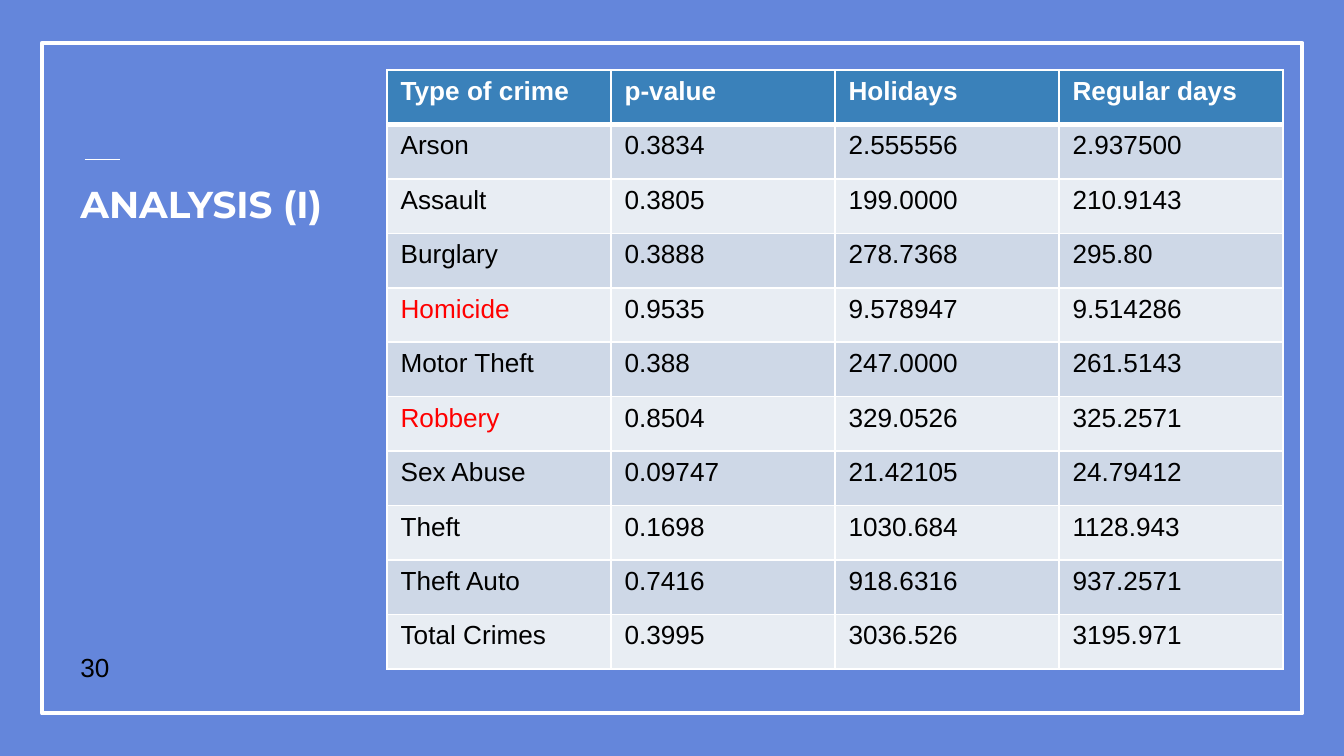
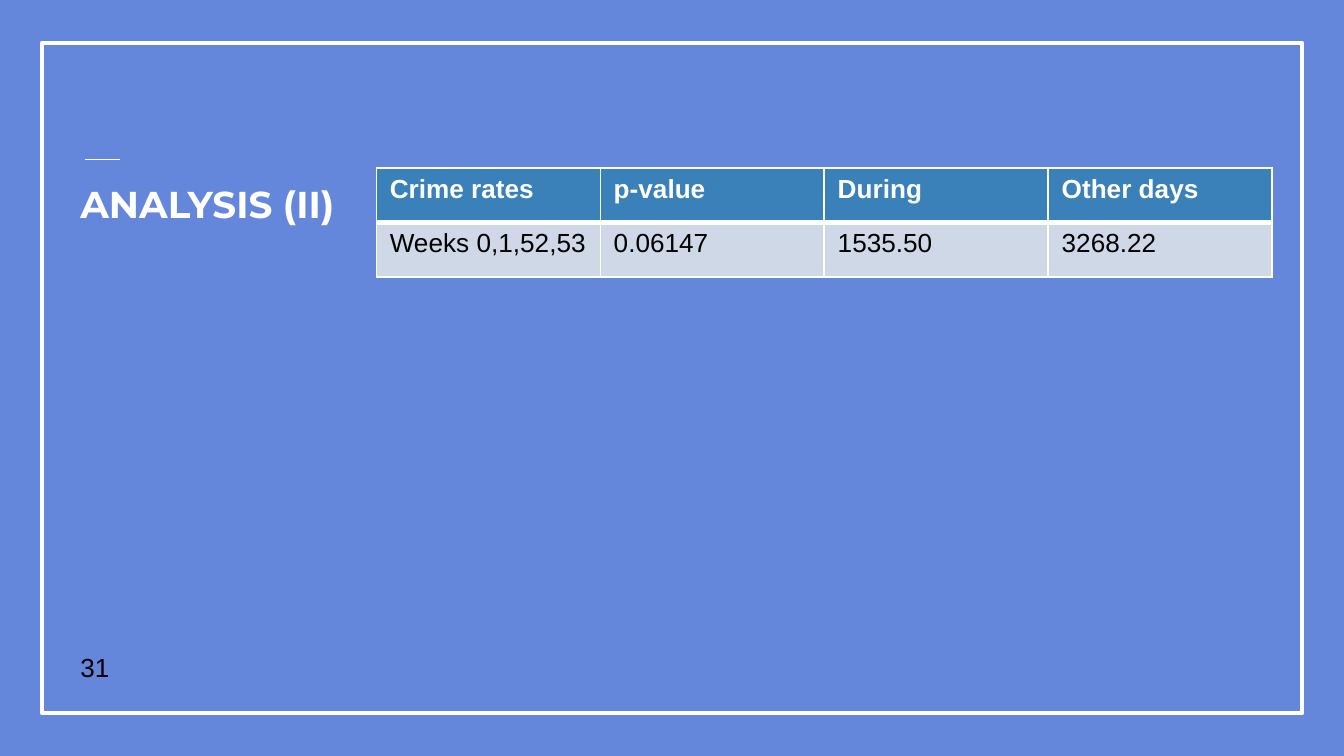
from dataclasses import dataclass

from lxml import etree
from pptx import Presentation
from pptx import util as u
from pptx.dml.color import RGBColor
from pptx.enum import shapes, text
from pptx.oxml import ns

Pt = u.Pt


@dataclass(frozen=True)
class Theme:
    background: str = "6486DB"
    white: str = "FFFFFF"
    black: str = "000000"
    highlight: str = "FF0000"
    header: str = "3A81BA"
    odd_row: str = "CED8E7"
    even_row: str = "E8EDF3"
    title_font: str = "Montserrat"
    body_font: str = "Arial"
    title_size: float = 20
    body_size: float = 14
    grid_line: float = 1
    header_line: float = 3


@dataclass(frozen=True)
class Box:
    left: float
    top: float
    width: float
    height: float

    def lengths(self) -> tuple:
        return Pt(self.left), Pt(self.top), Pt(self.width), Pt(self.height)


@dataclass(frozen=True)
class AnalysisSlide:
    title: str
    title_width: float
    number: int
    table_left: float
    table_top: float
    rows: list[tuple[str, ...]]
    highlighted: tuple[str, ...] = ()


THEME = Theme()
FRAME = Box(22.5, 23, 675.2, 359.2)
NUMBER_BOX = Box(36, 329.8, 43.2, 43.2)
COLUMN_WIDTH = 120
ROW_HEIGHT = 29.18

SLIDES = [
    AnalysisSlide(
        "ANALYSIS (I)", 170, 30, 207.4, 37.5,
        [
            ("Type of crime", "p-value", "Holidays", "Regular days"),
            ("Arson", "0.3834", "2.555556", "2.937500"),
            ("Assault", "0.3805", "199.0000", "210.9143"),
            ("Burglary", "0.3888", "278.7368", "295.80"),
            ("Homicide", "0.9535", "9.578947", "9.514286"),
            ("Motor Theft", "0.388", "247.0000", "261.5143"),
            ("Robbery", "0.8504", "329.0526", "325.2571"),
            ("Sex Abuse", "0.09747", "21.42105", "24.79412"),
            ("Theft", "0.1698", "1030.684", "1128.943"),
            ("Theft Auto", "0.7416", "918.6316", "937.2571"),
            ("Total Crimes", "0.3995", "3036.526", "3195.971"),
        ],
        highlighted=("Homicide", "Robbery"),
    ),
    AnalysisSlide(
        "ANALYSIS (II)", 155, 31, 201.6, 90,
        [
            ("Crime rates", "p-value", "During", "Other days"),
            ("Weeks 0,1,52,53", "0.06147", "1535.50", "3268.22"),
        ],
    ),
]


def rgb(colour: str) -> RGBColor:
    return RGBColor.from_string(colour)


def write(frame, content: str, *, font: str = THEME.body_font,
          size: float = THEME.body_size, colour: str = THEME.black,
          bold: bool = False) -> None:
    run = frame.paragraphs[0].add_run()
    run.text = content
    run.font.name = font
    run.font.size = Pt(size)
    run.font.bold = bold
    run.font.color.rgb = rgb(colour)


def add_text_box(slide, box: Box, content: str,
                 anchor=text.MSO_ANCHOR.TOP, **text_format) -> None:
    frame = slide.shapes.add_textbox(*box.lengths()).text_frame
    frame.word_wrap = True
    frame.vertical_anchor = anchor
    frame.margin_left = frame.margin_right = Pt(7.2)
    frame.margin_top = frame.margin_bottom = Pt(7.2)
    write(frame, content, **text_format)


def set_borders(cell, widths: dict[str, float]) -> None:
    properties = cell._tc.get_or_add_tcPr()
    for side, width in widths.items():
        line = etree.SubElement(properties, ns.qn(f"a:ln{side}"), w=str(Pt(width)))
        fill = etree.SubElement(line, ns.qn("a:solidFill"))
        etree.SubElement(fill, ns.qn("a:srgbClr"), val=THEME.white)


def add_base(slide) -> None:
    # Background and white frame
    slide.background.fill.solid()
    slide.background.fill.fore_color.rgb = rgb(THEME.background)
    frame = slide.shapes.add_shape(shapes.MSO_SHAPE.RECTANGLE, *FRAME.lengths())
    frame.shadow.inherit = False
    frame.fill.background()
    frame.line.color.rgb = rgb(THEME.white)
    frame.line.width = Pt(2.25)

    # Short rule above the title
    rule = slide.shapes.add_connector(
        shapes.MSO_CONNECTOR.STRAIGHT, Pt(45.4), Pt(85.4), Pt(64.1), Pt(85.4))
    rule.line.color.rgb = rgb(THEME.white)
    rule.line.width = Pt(0.75)
    etree.SubElement(rule._element.spPr, ns.qn("a:effectLst"))


def add_table(slide, content: AnalysisSlide) -> None:
    row_count, column_count = len(content.rows), len(content.rows[0])
    box = Box(content.table_left, content.table_top,
              column_count * COLUMN_WIDTH, row_count * ROW_HEIGHT)
    table = slide.shapes.add_table(row_count, column_count, *box.lengths()).table
    table.horz_banding = False
    for column in table.columns:
        column.width = Pt(COLUMN_WIDTH)

    for row_index, values in enumerate(content.rows):
        table.rows[row_index].height = Pt(ROW_HEIGHT)
        is_header = row_index == 0
        band = THEME.odd_row if row_index % 2 else THEME.even_row
        borders = dict.fromkeys("LRTB", THEME.grid_line)
        if is_header:
            borders["B"] = THEME.header_line
        elif row_index == 1:
            borders["T"] = THEME.header_line
        for column_index, value in enumerate(values):
            cell = table.cell(row_index, column_index)
            set_borders(cell, borders)
            cell.fill.solid()
            cell.fill.fore_color.rgb = rgb(THEME.header if is_header else band)
            colour = THEME.white if is_header else THEME.black
            if value in content.highlighted:
                colour = THEME.highlight
            write(cell.text_frame, value, colour=colour, bold=is_header)


def add_analysis_slide(presentation, content: AnalysisSlide) -> None:
    slide = presentation.slides.add_slide(presentation.slide_layouts[6])
    add_base(slide)
    add_text_box(slide, Box(36, 90, content.title_width, 64), content.title,
                 font=THEME.title_font, size=THEME.title_size,
                 colour=THEME.white, bold=True)
    add_text_box(slide, NUMBER_BOX, str(content.number),
                 anchor=text.MSO_ANCHOR.BOTTOM)
    add_table(slide, content)


def main() -> None:
    presentation = Presentation()
    presentation.slide_width = Pt(720)
    presentation.slide_height = Pt(405)
    for content in SLIDES:
        add_analysis_slide(presentation, content)
    presentation.save("out.pptx")


if __name__ == "__main__":
    main()
